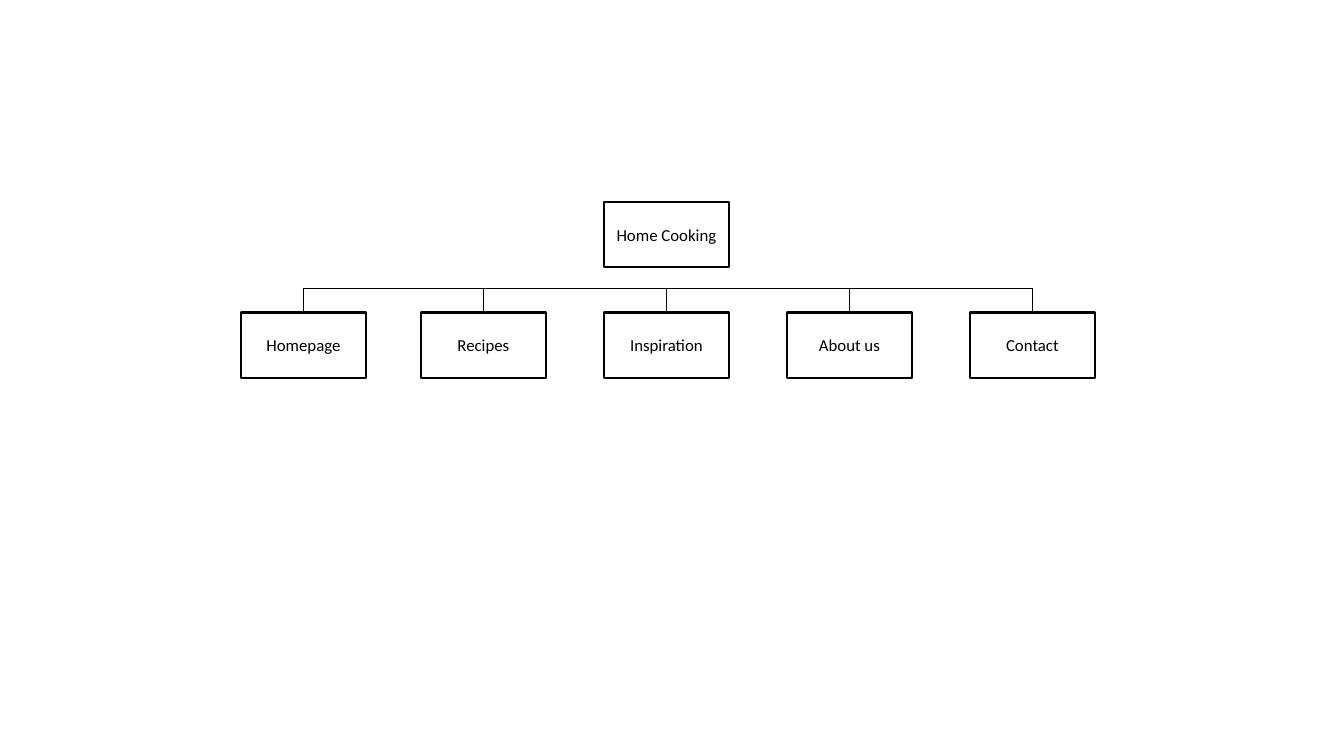
"""Build a site map slide: one root box above five page boxes."""
from pptx import Presentation
from pptx.dml.color import RGBColor
from pptx.enum.shapes import MSO_CONNECTOR, MSO_SHAPE
from pptx.enum.text import MSO_ANCHOR, PP_ALIGN
from pptx.util import Inches, Pt
from lxml.etree import SubElement
from pptx.oxml.ns import qn

HUES = {"fill": "FFFFFF", "ink": "000000"}
INK = RGBColor.from_string(HUES["ink"])
WIDE, HIGH = 1.24, 0.65
MID, STEP, EDGE = 5.99, 3.63 / 2, 2.39
ROOT, RAIL, ROW = 2, 2.86, 3.1
PAGES = ["Homepage", "Recipes", "Inspiration", "About us", "Contact"]

deck = Presentation()
deck.slide_width, deck.slide_height = Inches(13.33), Inches(7.5)
slide = deck.slides.add_slide(deck.slide_layouts[6])

lefts = [max(EDGE, MID + (col - 2) * STEP) for col in range(len(PAGES))]
mids = [left + WIDE / 2 for left in lefts]

boxes = [("Home Cooking", MID, ROOT)]
boxes += [(name, left, ROW) for name, left in zip(PAGES, lefts)]
for name, left, top in boxes:
    box = slide.shapes.add_shape(
        MSO_SHAPE.RECTANGLE, Inches(left), Inches(top), Inches(WIDE), Inches(HIGH))
    box.shadow.inherit = False
    box.fill.solid()
    box.fill.fore_color.rgb = RGBColor.from_string(HUES["fill"])
    box.line.color.rgb = INK
    box.line.width = Pt(1.5)
    frame = box.text_frame
    frame.word_wrap = True
    frame.vertical_anchor = MSO_ANCHOR.MIDDLE
    para = frame.paragraphs[0]
    para.alignment = PP_ALIGN.CENTER
    run = para.add_run()
    run.text = name
    run.font.name = "Calibri"
    run.font.size = Pt(12)
    run.font.color.rgb = INK

hub = mids[3]
starts = [8.07] + [hub] * 4
for start, mid in zip(starts, mids):
    line = slide.shapes.add_connector(
        MSO_CONNECTOR.ELBOW, Inches(start), Inches(RAIL), Inches(mid), Inches(ROW))
    if mid != hub:
        line._element.spPr.find(qn("a:prstGeom")).set("prst", "bentConnector2")
    line.line.color.rgb = INK
    line.line.width = Pt(0.5)
    SubElement(line._element.spPr, qn("a:effectLst"))

deck.save("out.pptx")
